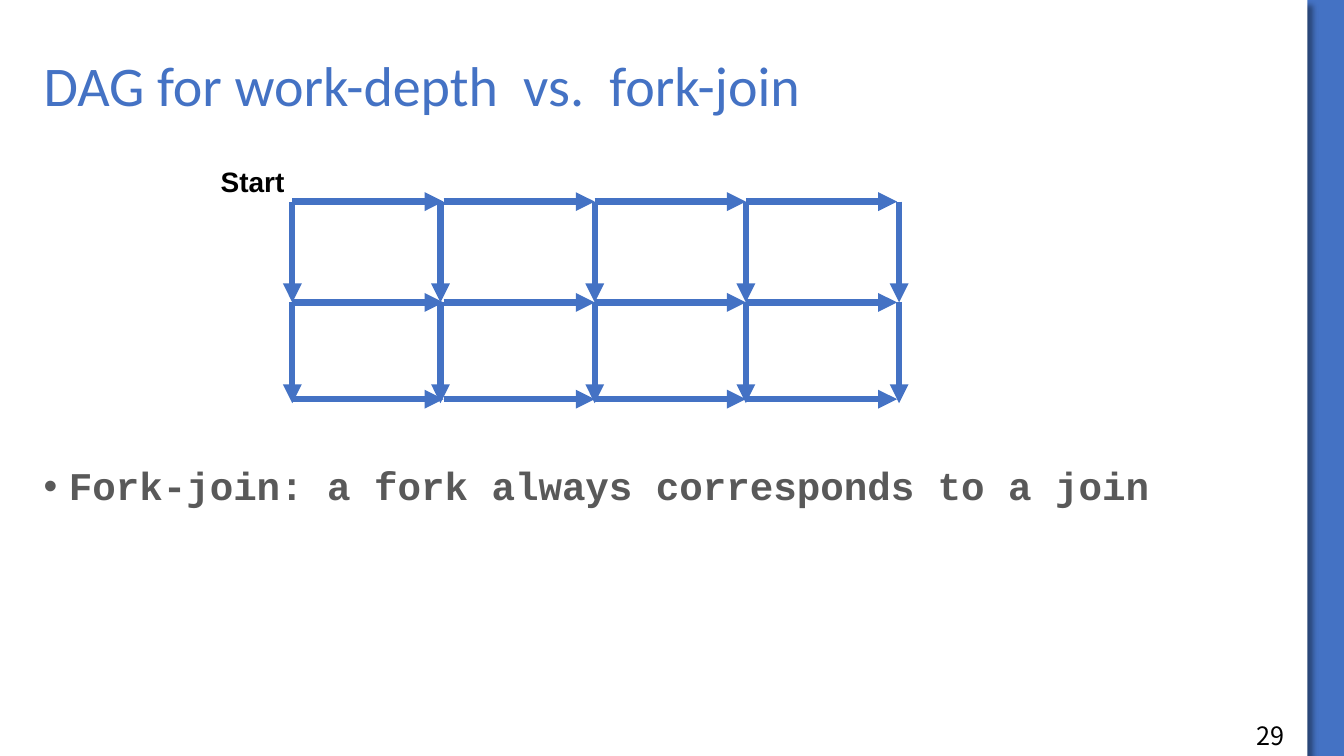
import lxml.etree
import pptx
import pptx.dml.color
import pptx.enum.shapes
import pptx.enum.text
import pptx.oxml.ns
import pptx.util

Pt = pptx.util.Pt
qn = pptx.oxml.ns.qn
SubElement = lxml.etree.SubElement
Align = pptx.enum.text.PP_ALIGN
Anchor = pptx.enum.text.MSO_ANCHOR
AutoSize = pptx.enum.text.MSO_AUTO_SIZE

BLUE = pptx.dml.color.RGBColor(0x44, 0x72, 0xC4)
GREY = pptx.dml.color.RGBColor(0x59, 0x59, 0x59)
WHITE = pptx.dml.color.RGBColor(0xFF, 0xFF, 0xFF)
BLACK = pptx.dml.color.RGBColor(0, 0, 0)


def apply(target, values):
    for name, value in values.items():
        setattr(target, name, value)


class DagSlide:
    arrow_width = Pt(4.5)

    def __init__(self, deck):
        self.slide = deck.slides.add_slide(deck.slide_layouts[1])
        self.shapes = self.slide.shapes
        fill = self.slide.background.fill
        fill.solid()
        fill.fore_color.rgb = BLUE

    def panel(self, width, height):
        panel = self.shapes.add_shape(
            pptx.enum.shapes.MSO_SHAPE.RECTANGLE, 0, 0, Pt(width), Pt(height))
        panel.shadow.inherit = False
        panel.fill.solid()
        panel.fill.fore_color.rgb = WHITE
        panel.line.fill.background()
        effects = panel.element.spPr.find(qn("a:effectLst"))
        shadow = SubElement(effects, qn("a:outerShdw"), blurRad=str(Pt(4)),
                            dist=str(Pt(6)), dir="2700000", algn="tl", rotWithShape="0")
        color = SubElement(shadow, qn("a:srgbClr"), val=str(BLACK))
        SubElement(color, qn("a:alpha"), val="40000")
        self.shapes._spTree.insert(2, panel.element)

    def set_text(self, holder, text, color, font, frame, paragraph):
        apply(holder.text_frame, frame)
        line = holder.text_frame.paragraphs[0]
        apply(line, paragraph)
        run = line.add_run()
        run.text = text
        apply(run.font, font)
        run.font.color.rgb = color
        return line

    def placeholder(self, index, box, *content):
        holder = self.slide.placeholders[index]
        apply(holder, dict(zip(("left", "top", "width", "height"), map(Pt, box))))
        return self.set_text(holder, *content)

    def label(self, box, *content):
        return self.set_text(self.shapes.add_textbox(*map(Pt, box)), *content)

    def bullet(self, line, indent):
        props = line._p.get_or_add_pPr()
        props.set("marL", str(Pt(indent)))
        props.set("indent", str(-Pt(indent)))
        SubElement(props, qn("a:buFont"), typeface="Arial")
        SubElement(props, qn("a:buChar"), char="•")

    def arrow(self, *ends):
        edge = self.shapes.add_connector(
            pptx.enum.shapes.MSO_CONNECTOR.STRAIGHT, *map(Pt, ends))
        edge.line.width = self.arrow_width
        edge.line.color.rgb = BLUE
        properties = edge.element.spPr
        SubElement(properties.find(qn("a:ln")), qn("a:tailEnd"), type="triangle")
        SubElement(properties, qn("a:effectLst"))


def main():
    deck = pptx.Presentation()
    apply(deck, {"slide_width": Pt(960), "slide_height": Pt(540)})
    page = DagSlide(deck)
    page.panel(933.84, 540)

    page.placeholder(
        0, (24, 36, 888, 54), "DAG for work-depth  vs.  fork-join", BLUE,
        {"name": "Calibri", "size": Pt(40)},
        {"vertical_anchor": Anchor.MIDDLE, "auto_size": AutoSize.NONE},
        {"alignment": Align.LEFT, "line_spacing": 0.9})
    fork_join = page.placeholder(
        1, (24, 330, 888, 192), "Fork-join: a fork always corresponds to a join", GREY,
        {"name": "Courier New", "size": Pt(28), "bold": True},
        {"vertical_anchor": Anchor.TOP, "auto_size": AutoSize.NONE},
        {"alignment": Align.LEFT, "line_spacing": 0.9, "space_before": Pt(0)})
    page.bullet(fork_join, 18)
    page.label((890.64, 511.2, 61.92, 28.8), "29", BLACK,
               {"name": "Noto Sans CJK SC", "size": Pt(18)}, {"word_wrap": True}, {})

    left, top, step, drop = 208.8, 144, 108, 72
    for row_y in (top, top + drop, 285.12):
        for column in range(4):
            start = left + column * step
            page.arrow(start, row_y, start + step, row_y)
    for column, nudge in enumerate((0, -2.16, 0, 0, 1.44)):
        column_x = left + column * step + nudge
        for row in range(2):
            start = top + row * drop
            page.arrow(column_x, start, column_x, start + drop)

    page.label((150.48, 113.76, 60.48, 31.68), "Start", BLACK,
               {"name": "Arial", "size": Pt(20), "bold": True},
               {"word_wrap": False, "auto_size": AutoSize.SHAPE_TO_FIT_TEXT}, {})
    deck.save("out.pptx")


if __name__ == "__main__":
    main()
